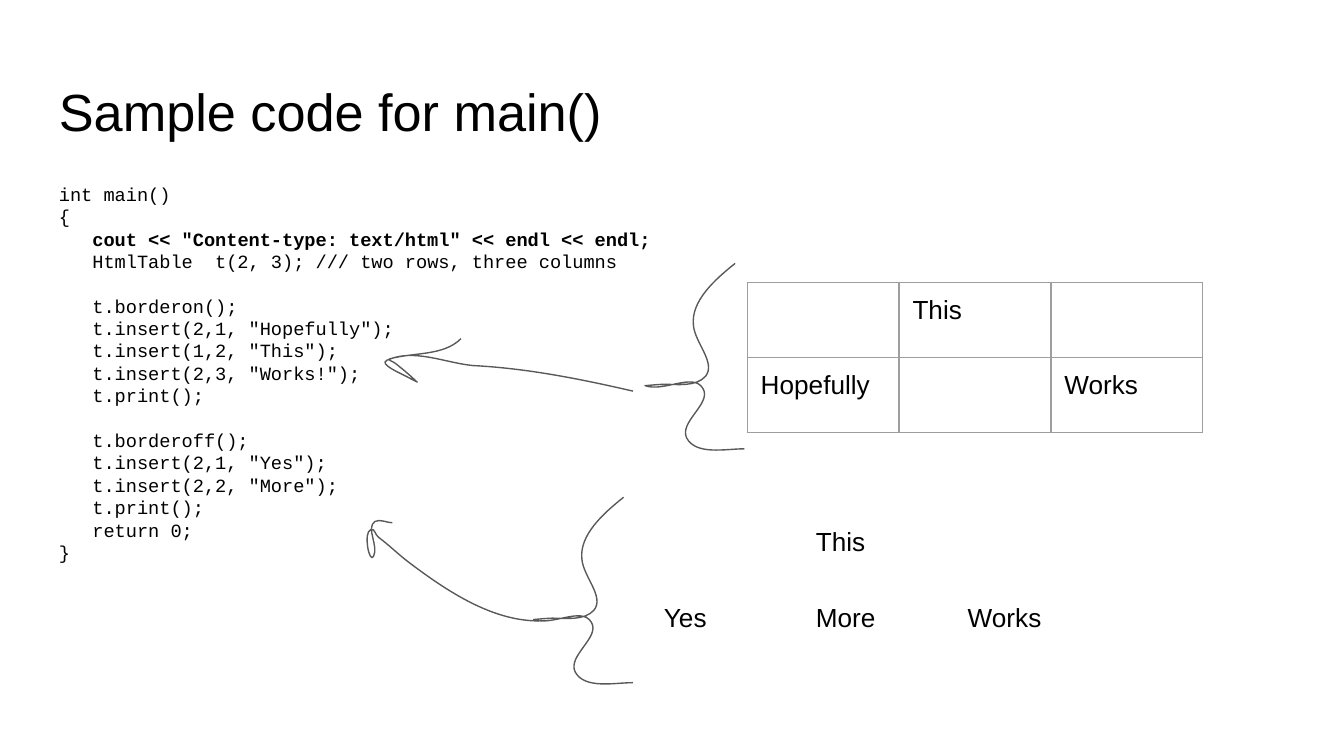
from dataclasses import dataclass

from lxml import etree
from pptx import Presentation
from pptx.dml.color import RGBColor
from pptx.enum.text import MSO_ANCHOR
from pptx.oxml.ns import qn
from pptx.util import Pt

TOP = MSO_ANCHOR.TOP
SCALE = 9144
CURVE_STEPS = 16
PAD = 10
COL_W, ROW_H = 113, 56
COLORS = {"text": "000000", "stroke": "595959", "border": "9E9E9E"}
SANS, MONO = "Arial", "Courier New"

Point = tuple[int, int]


@dataclass
class CodeLine:
    text: str
    indent: str = "   "
    bold: bool = False
    gap: bool = False


@dataclass
class Grid:
    x: int
    y: int
    rows: list[list[str]]
    border: bool


@dataclass
class Stroke:
    points: list[Point]
    dx: int = 0
    dy: int = 0


CODE = [
    CodeLine("int main()", indent=""),
    CodeLine("{", indent=""),
    CodeLine('cout << "Content-type: text/html" << endl << endl;', bold=True),
    CodeLine("HtmlTable  t(2, 3); /// two rows, three columns"),
    CodeLine("t.borderon();", gap=True),
    CodeLine('t.insert(2,1, "Hopefully");'),
    CodeLine('t.insert(1,2, "This");'),
    CodeLine('t.insert(2,3, "Works!");'),
    CodeLine("t.print();"),
    CodeLine("t.borderoff();", gap=True),
    CodeLine('t.insert(2,1, "Yes");'),
    CodeLine('t.insert(2,2, "More");'),
    CodeLine("t.print();"),
    CodeLine("return 0;"),
    CodeLine("}", indent=""),
]

GRIDS = [
    Grid(556, 210, [["", "This", ""], ["Hopefully", "", "Works"]], True),
    Grid(484, 383, [["", "This", ""], ["Yes", "More", "Works"]], False),
]

BRACE = [
    (547, 196), (532, 208), (514, 224), (516, 242),
    (517, 255), (533, 270), (525, 280), (518, 288), (504, 286), (494, 286),
    (491, 286), (480, 287), (480, 287), (494, 292), (516, 277), (523, 289),
    (530, 300), (505, 314), (511, 326), (518, 339), (540, 334), (554, 334),
]
UPPER_ARROW = [
    (471, 291), (432, 282), (392, 274), (352, 272),
    (331, 270), (308, 259), (288, 268), (281, 271), (299, 278), (306, 282),
    (308, 283), (312, 285), (310, 284), (305, 279), (300, 275), (295, 271),
    (293, 269), (288, 268), (290, 267), (308, 262), (330, 265), (343, 252),
]
LOWER_ARROW = [
    (401, 462), (366, 462), (333, 440), (305, 419),
    (297, 413), (290, 406), (282, 400), (279, 398), (279, 393), (276, 394),
    (270, 396), (275, 420), (278, 414), (282, 406), (272, 393), (279, 388),
    (283, 386), (288, 389), (292, 389),
]
STROKES = [
    Stroke(BRACE),
    Stroke(UPPER_ARROW),
    Stroke(BRACE, dx=-83, dy=174),
    Stroke(LOWER_ARROW),
]


def px(n: float) -> int:
    return round(n * SCALE)


def rgb(name: str) -> RGBColor:
    return RGBColor.from_string(COLORS[name])


def add_run(p, text: str, size: int, font: str, bold: bool = False) -> None:
    r = p.add_run()
    r.text = text
    r.font.size = Pt(size)
    r.font.name = font
    r.font.bold = bold
    r.font.color.rgb = rgb("text")


def set_margins(box) -> None:
    box.margin_left = box.margin_right = px(PAD)
    box.margin_top = box.margin_bottom = px(PAD)
    box.vertical_anchor = TOP


def add_text_box(s, x: int, y: int, w: int, h: int):
    tf = s.shapes.add_textbox(px(x), px(y), px(w), px(h)).text_frame
    tf.word_wrap = True
    set_margins(tf)
    return tf


def draw_code(tf, lines: list[CodeLine]) -> None:
    for i, line in enumerate(lines):
        p = tf.add_paragraph() if i else tf.paragraphs[0]
        p.line_spacing = Pt(12)
        if line.gap:
            p.space_before = Pt(12)
        if line.bold:
            add_run(p, line.indent, 10, MONO)
            add_run(p, line.text, 10, MONO, True)
        else:
            add_run(p, line.indent + line.text, 10, MONO)


def set_borders(cell, visible: bool) -> None:
    tc_pr = cell._tc.get_or_add_tcPr()
    for i, side in enumerate(("a:lnL", "a:lnR", "a:lnT", "a:lnB")):
        ln = etree.Element(qn(side), w=str(Pt(0.75)))
        if visible:
            fill = etree.SubElement(ln, qn("a:solidFill"))
            etree.SubElement(fill, qn("a:srgbClr"), val=COLORS["border"])
        else:
            etree.SubElement(ln, qn("a:noFill"))
        tc_pr.insert(i, ln)


def draw_grid(s, grid: Grid) -> None:
    n_rows, n_cols = len(grid.rows), len(grid.rows[0])
    table = s.shapes.add_table(n_rows, n_cols, px(grid.x), px(grid.y),
                               px(n_cols * COL_W), px(n_rows * ROW_H)).table
    table.first_row = table.horz_banding = False
    for i, row in enumerate(grid.rows):
        for j, text in enumerate(row):
            cell = table.cell(i, j)
            cell.fill.background()
            set_margins(cell)
            set_borders(cell, grid.border)
            if text:
                add_run(cell.text_frame.paragraphs[0], text, 14, SANS)


def sample_curve(points: list[Point]) -> list[Point]:
    result = [points[0]]
    for k in range(0, len(points) - 1, 3):
        segment = points[k:k + 4]
        for step in range(1, CURVE_STEPS + 1):
            t = step / CURVE_STEPS
            u = 1 - t
            weights = (u ** 3, 3 * u * u * t, 3 * u * t * t, t ** 3)
            x, y = (round(sum(w * q[axis] for w, q in zip(weights, segment)))
                    for axis in (0, 1))
            result.append((x, y))
    return result


def draw_stroke(s, stroke: Stroke) -> None:
    points = [(px(x + stroke.dx), px(y + stroke.dy)) for x, y in stroke.points]
    outline = sample_curve(points)
    builder = s.shapes.build_freeform(*outline[0])
    builder.add_line_segments(outline[1:], close=False)
    sp = builder.convert_to_shape()
    curve = next(sp._element.iter(qn("a:path")))
    for line in curve.findall(qn("a:lnTo")):
        curve.remove(line)
    for k in range(1, len(points), 3):
        bezier = etree.SubElement(curve, qn("a:cubicBezTo"))
        for x, y in points[k:k + 3]:
            etree.SubElement(bezier, qn("a:pt"),
                             x=str(x - sp.left), y=str(y - sp.top))
    sp.shadow.inherit = False
    sp.fill.background()
    sp.line.color.rgb = rgb("stroke")
    sp.line.width = Pt(0.75)


def main() -> None:
    prs = Presentation()
    prs.slide_width, prs.slide_height = px(1000), px(562.5)
    s = prs.slides.add_slide(prs.slide_layouts[6])
    title = add_text_box(s, 34, 49, 932, 63)
    add_run(title.paragraphs[0], "Sample code for main()", 28, SANS)
    draw_code(add_text_box(s, 34, 126, 932, 374), CODE)
    for grid in GRIDS:
        draw_grid(s, grid)
    for stroke in STROKES:
        draw_stroke(s, stroke)
    prs.save("out.pptx")


if __name__ == "__main__":
    main()
